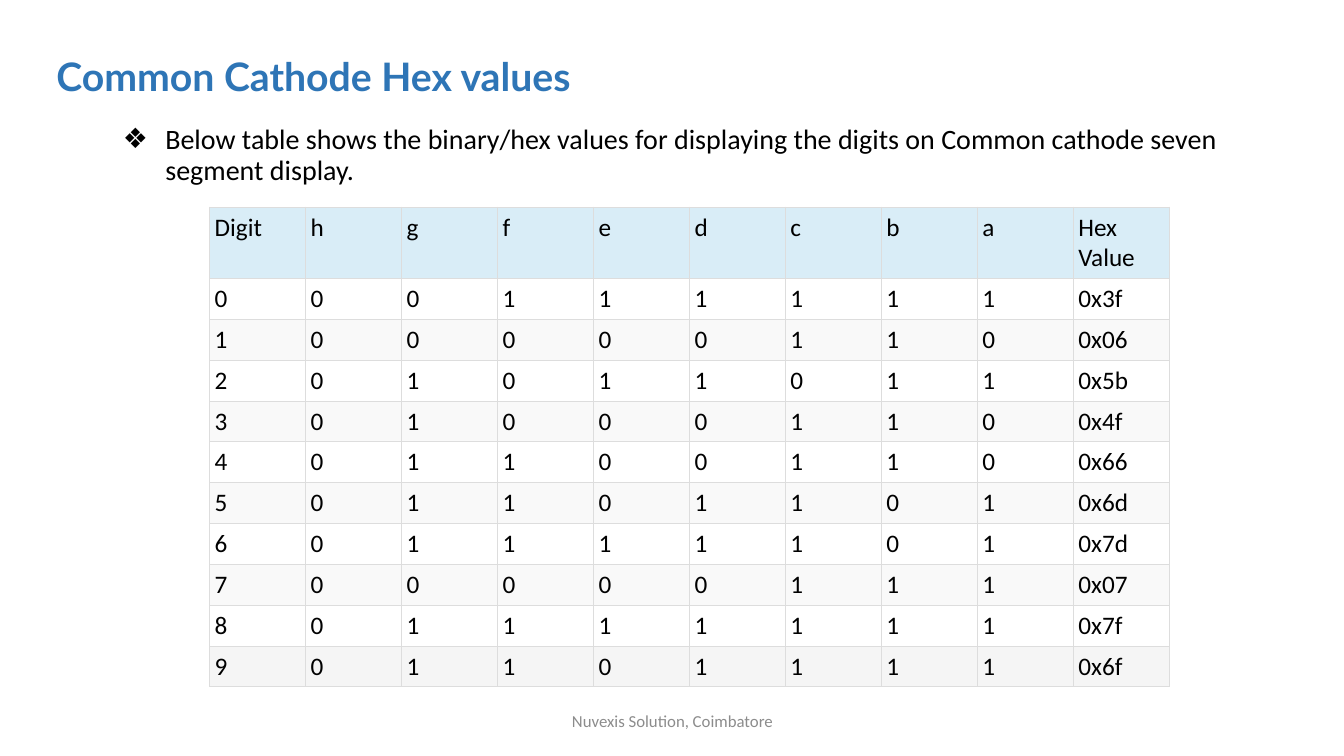
from dataclasses import dataclass

from lxml.etree import SubElement as Sub
from pptx import Presentation
from pptx.dml.color import RGBColor as Rgb
from pptx.enum.text import MSO_ANCHOR as Anchor, MSO_AUTO_SIZE as Fit, PP_ALIGN as Align
from pptx.oxml.ns import qn
from pptx.util import Inches, Pt


@dataclass(frozen=True)
class Theme:
    """Colours, fonts and type sizes of the slide."""
    blue: str = "2E75B6"
    black: str = "000000"
    gray: str = "8C8C8C"
    rule: str = "DDDDDD"
    head: str = "D9EDF7"
    plain: str = "FFFFFF"
    band: str = "F9F9F9"
    last: str = "F5F5F5"
    bold: str = "Lato"
    text: str = "Calibri"
    title: int = 28
    body: int = 20
    cell: int = 18
    foot: int = 12


THEME = Theme()
WIDE, HIGH = Inches(13.333), Inches(7.5)
PAD = Inches(0.05)
HEADS = ["Digit", *"hgfedcba", "Hex Value"]
CODES = [
    ("00111111", "0x3f"), ("00000110", "0x06"), ("01011011", "0x5b"),
    ("01000110", "0x4f"), ("01100110", "0x66"), ("01101101", "0x6d"),
    ("01111101", "0x7d"), ("00000111", "0x07"), ("01111111", "0x7f"),
    ("01101111", "0x6f"),
]


def area(left, top, width, height):
    """Turn percentages of the slide into a box."""
    return (int(WIDE * left / 100), int(HIGH * top / 100),
            int(WIDE * width / 100), int(HIGH * height / 100))


def place(shape, box):
    """Move a shape into its box."""
    shape.left, shape.top, shape.width, shape.height = box


def style(para, face, size, color, bold=False):
    """Set the font of a paragraph."""
    font = para.font
    font.name, font.size, font.bold = face, Pt(size), bold
    font.color.rgb = Rgb.from_string(color)


def add_title(slide, box, text):
    """Fill the title placeholder."""
    shape = slide.shapes.title
    place(shape, box)
    frame = shape.text_frame
    frame.text = text
    frame.auto_size, frame.vertical_anchor = Fit.NONE, Anchor.BOTTOM
    para = frame.paragraphs[0]
    para.alignment, para.line_spacing = Align.LEFT, 0.9
    style(para, THEME.bold, THEME.title, THEME.blue, True)


def add_body(slide, box, text):
    """Fill the body placeholder with one bulleted paragraph."""
    shape = slide.placeholders[1]
    place(shape, box)
    frame = shape.text_frame
    frame.text = text
    frame.auto_size, frame.margin_right = Fit.NONE, Inches(0.3)
    para = frame.paragraphs[0]
    para.line_spacing = 0.94
    para.space_before, para.space_after = Pt(10), Pt(2)
    style(para, THEME.text, THEME.body, THEME.black)
    props = para._p.get_or_add_pPr()
    hang = Inches(0.42)
    props.set("marL", str(hang))
    props.set("indent", str(-hang))
    mark = props.find(qn("a:defRPr"))
    bullet = Sub(props, qn("a:buChar"), char="❖")
    if mark is not None:
        mark.addprevious(bullet)


def add_cell(cell, text, color):
    """Write, border and fill one table cell."""
    cell.text = text
    cell.margin_left = cell.margin_right = PAD
    cell.margin_top = cell.margin_bottom = PAD
    style(cell.text_frame.paragraphs[0], THEME.text, THEME.cell, THEME.black)
    props = cell._tc.get_or_add_tcPr()
    for side in "LRTB":
        line = Sub(props, qn(f"a:ln{side}"), w=str(Pt(0.75)))
        Sub(Sub(line, qn("a:solidFill")), qn("a:srgbClr"), val=THEME.rule)
    cell.fill.solid()
    cell.fill.fore_color.rgb = Rgb.from_string(color)


def add_grid(slide, box):
    """Build the table of segment bits and hex values."""
    rows = [HEADS] + [[str(digit), *bits, code]
                      for digit, (bits, code) in enumerate(CODES)]
    fills = [THEME.head] + [THEME.plain, THEME.band] * 5
    fills[-1] = THEME.last
    grid = slide.shapes.add_table(len(rows), len(HEADS), *box).table
    unit = box[3] / (len(CODES) + 1.75)
    for col in grid.columns:
        col.width = box[2] // len(HEADS)
    for index, (row, color) in enumerate(zip(rows, fills)):
        grid.rows[index].height = int(unit * (1 if index else 1.75))
        for col, text in enumerate(row):
            add_cell(grid.cell(index, col), text, color)


def add_foot(slide, box, text):
    """Write the centred footer line."""
    frame = slide.shapes.add_textbox(*box).text_frame
    frame.word_wrap, frame.vertical_anchor = True, Anchor.MIDDLE
    frame.text = text
    para = frame.paragraphs[0]
    para.alignment = Align.CENTER
    style(para, THEME.text, THEME.foot, THEME.gray)


def main():
    """Build and save the slide."""
    deck = Presentation()
    deck.slide_width, deck.slide_height = WIDE, HIGH
    slide = deck.slides.add_slide(deck.slide_layouts[1])
    add_foot(slide, area(33.16, 92.67, 33.76, 5.33), "Nuvexis Solution, Coimbatore")
    add_title(slide, area(3.45, 4.93, 54.46, 8.93), "Common Cathode Hex values")
    add_body(slide, area(8.4, 15.73, 90.3, 9.73),
             "Below table shows the binary/hex values for displaying the digits "
             "on Common cathode seven segment display.")
    add_grid(slide, area(15.6, 27.4, 71.4, 63.47))
    deck.save("out.pptx")


if __name__ == "__main__":
    main()
